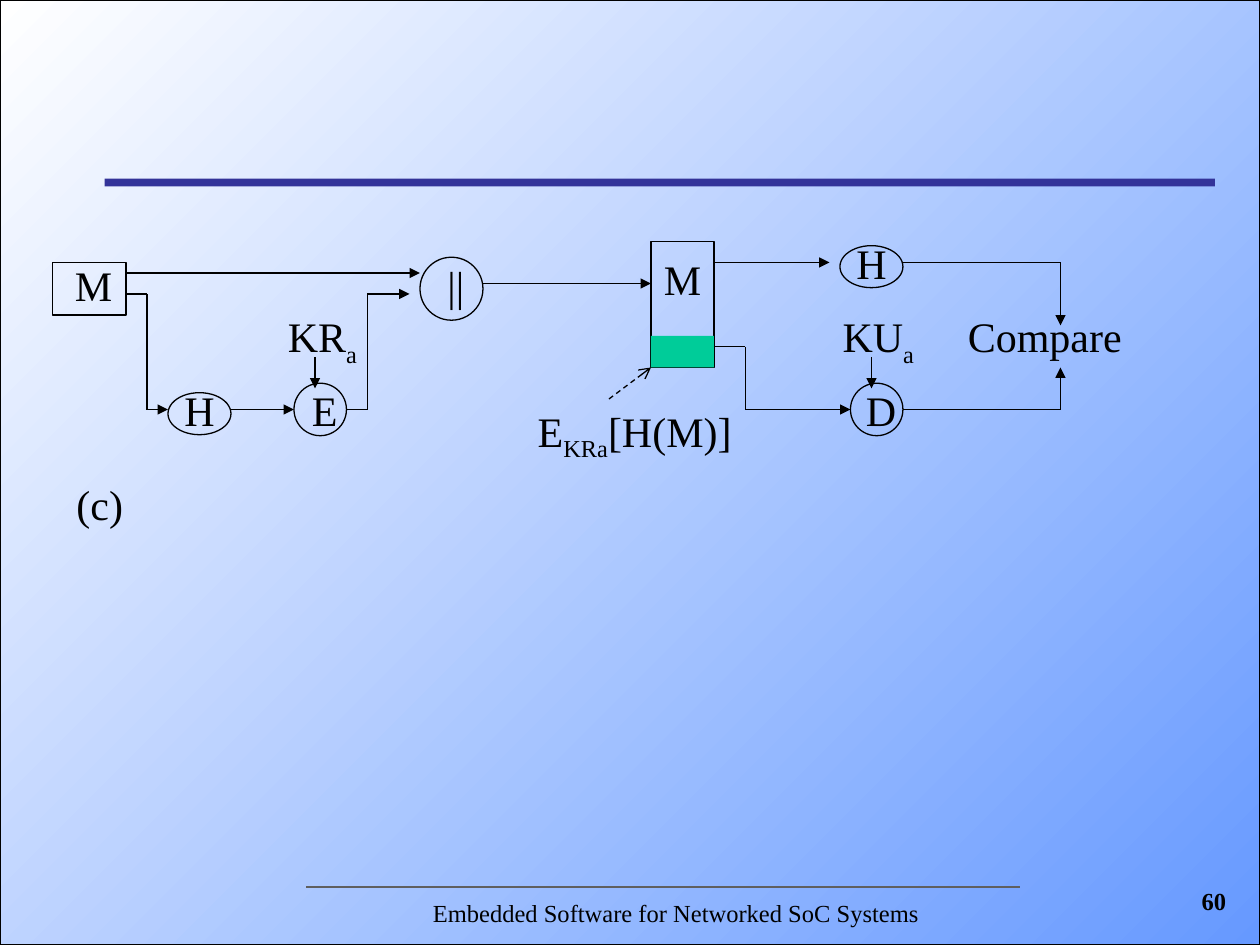
from itertools import pairwise

from lxml.etree import SubElement
from pptx import Presentation
from pptx.dml.color import RGBColor
from pptx.enum.dml import MSO_LINE
from pptx.enum.shapes import MSO_CONNECTOR, MSO_SHAPE
from pptx.enum.text import MSO_ANCHOR, PP_ALIGN
from pptx.oxml.ns import qn
from pptx.util import Cm, Pt

FONT = "Times New Roman"
BLACK = "000000"
STEP = 2.54 / 12  # drawing grid of the diagram, in cm


def rgb(value):
    return RGBColor.from_string(value)


def grid(*values):
    return [Cm(v * STEP) for v in values]


def style_text(p, size=24, align=PP_ALIGN.CENTER, bold=False):
    p.alignment = align
    p.font.name, p.font.size, p.font.bold = FONT, Pt(size), bold
    p.font.color.rgb = rgb(BLACK)


def add_box(s, kind, at, fill=None, line=BLACK):
    sp = s.shapes.add_shape(kind, *at)
    sp.shadow.inherit = False
    if fill:
        sp.fill.solid()
        sp.fill.fore_color.rgb = rgb(fill)
    else:
        sp.fill.background()
    if line:
        sp.line.color.rgb = rgb(line)
        sp.line.width = Pt(0.75)
    else:
        sp.line.fill.background()
    return sp


def add_line(s, ends, color=BLACK, width=0.75, head=None, dashed=False):
    cn = s.shapes.add_connector(MSO_CONNECTOR.STRAIGHT, *ends)
    cn.line.color.rgb = rgb(color)
    cn.line.width = Pt(width)
    if dashed:
        cn.line.dash_style = MSO_LINE.DASH
    if head:
        SubElement(cn.line._get_or_add_ln(), qn("a:tailEnd"), type=head)
    SubElement(cn._element.spPr, qn("a:effectLst"))
    return cn


class Region:
    """Part of the diagram; all places are grid steps from its corner."""

    def __init__(self, s, left, top):
        self.s, self.left, self.top = s, left, top

    def place(self, x, y, w, h):
        return grid(self.left + x, self.top + y, w, h)

    def node(self, kind, at, text="", left=0, bottom=0, **look):
        sp = add_box(self.s, kind, self.place(*at), **look)
        tf = sp.text_frame
        tf.word_wrap = False
        tf.vertical_anchor = MSO_ANCHOR.MIDDLE
        tf.margin_left, tf.margin_top, tf.margin_right, tf.margin_bottom = grid(
            left, 0, 0, bottom)
        if text:
            tf.text = text
            style_text(tf.paragraphs[0])

    def label(self, at, *parts):
        """Parts alternate between normal text and subscript."""
        tf = self.s.shapes.add_textbox(*self.place(*at)).text_frame
        tf.word_wrap = False
        tf.margin_left = tf.margin_right = 0
        p = tf.paragraphs[0]
        style_text(p)
        for i, part in enumerate(parts):
            r = p.add_run()
            r.text = part
            if i % 2:
                r.font._element.set("baseline", "-25000")

    def route(self, *points, head="triangle", dashed=False):
        """Straight pieces through the points, arrowhead on the last."""
        for a, b in pairwise(points):
            ends = grid(self.left + a[0], self.top + a[1],
                        self.left + b[0], self.top + b[1])
            add_line(self.s, ends, head=head if b == points[-1] else None,
                     dashed=dashed)


def add_backdrop(s, width, height):
    # Gradient page and title rule
    page = add_box(s, MSO_SHAPE.RECTANGLE, (0, 0, width, height))
    page.fill.gradient()
    page.fill.gradient_angle = 135
    for stop, color in zip(page.fill.gradient_stops, ("6699FF", "FFFFFF")):
        stop.color.rgb = rgb(color)
    add_box(s, MSO_SHAPE.RECTANGLE, (Cm(2.11), Cm(3.6), Cm(22.38), Cm(0.16)),
            fill="333399", line=None)


def add_sender(s, left, top):
    area = Region(s, left, top)
    # Nodes
    area.node(MSO_SHAPE.RECTANGLE, (0, 2, 7, 5), "M", left=0.84, bottom=0.84)
    area.node(MSO_SHAPE.OVAL, (11, 14.4, 6, 4), "H", bottom=0.84)
    area.node(MSO_SHAPE.FLOWCHART_CONNECTOR, (23, 13.5, 5, 5), "E", left=0.84)
    area.node(MSO_SHAPE.OVAL, (35, 1.5, 6, 6), "||", left=0.84, bottom=0.84)
    # Labels
    area.label((21.2, 6, 9, 6.7), "KR", "a")
    area.label((1.1, 22, 6.8, 6), "(c)")
    # Arrows
    area.route((7, 3), (35, 3))
    area.route((7, 5), (9, 5), (9, 16), (11, 16))
    area.route((17, 16), (23, 16))
    area.route((28, 16), (30, 16), (30, 5), (34, 5))
    area.route((25, 11), (25, 14))
    area.route((41, 4), (57, 4))


def add_receiver(s, left, top):
    area = Region(s, left, top)
    # Nodes
    area.node(MSO_SHAPE.RECTANGLE, (12, 0, 6, 12), "M", bottom=5)
    area.node(MSO_SHAPE.RECTANGLE, (12, 9, 6, 3), fill="00CC99", line=None)
    area.node(MSO_SHAPE.OVAL, (30, 0.4, 6, 4), "H", bottom=0.84)
    area.node(MSO_SHAPE.FLOWCHART_CONNECTOR, (31, 13.5, 5, 5), "D", left=0.84)
    # Labels
    area.label((0, 15, 20.9, 6.7), "E", "KRa", "[H(M)]")
    area.label((29.1, 6, 9.1, 6.7), "KU", "a")
    area.label((41, 6, 17, 6), "Compare")
    # Arrows
    area.route((18, 2), (29, 2))
    area.route((18, 10), (21, 10), (21, 16), (31, 16))
    area.route((33, 11), (33, 14))
    area.route((36, 2), (51, 2), (51, 8))
    area.route((36, 16), (51, 16), (51, 12))
    area.route((8, 15), (12, 12), head="arrow", dashed=True)


def add_footer(s, left, top):
    add_line(s, (left + Cm(4.06), top, left + Cm(18.46), top), "5F5F5F", 1.5)
    for x, y, w, h, text, align, bold in (
            (0, 0.1, 22.43, 0.89, "Embedded Software for Networked SoC Systems",
             PP_ALIGN.CENTER, False),
            (20.12, -0.15, 2.74, 1.27, "60", PP_ALIGN.RIGHT, True)):
        tf = s.shapes.add_textbox(left + Cm(x), top + Cm(y), Cm(w), Cm(h)).text_frame
        tf.word_wrap = True
        tf.margin_left = Cm(0.86)
        tf.text = text
        style_text(tf.paragraphs[0], 14, align, bold)


def main():
    prs = Presentation()
    prs.slide_width, prs.slide_height = Cm(25.4), Cm(19.05)
    s = prs.slides.add_slide(prs.slide_layouts[6])
    add_backdrop(s, prs.slide_width, prs.slide_height)
    add_sender(s, 5, 23)
    add_receiver(s, 50, 23)
    add_footer(s, Cm(2.11), Cm(17.88))
    prs.save("out.pptx")


if __name__ == "__main__":
    main()
